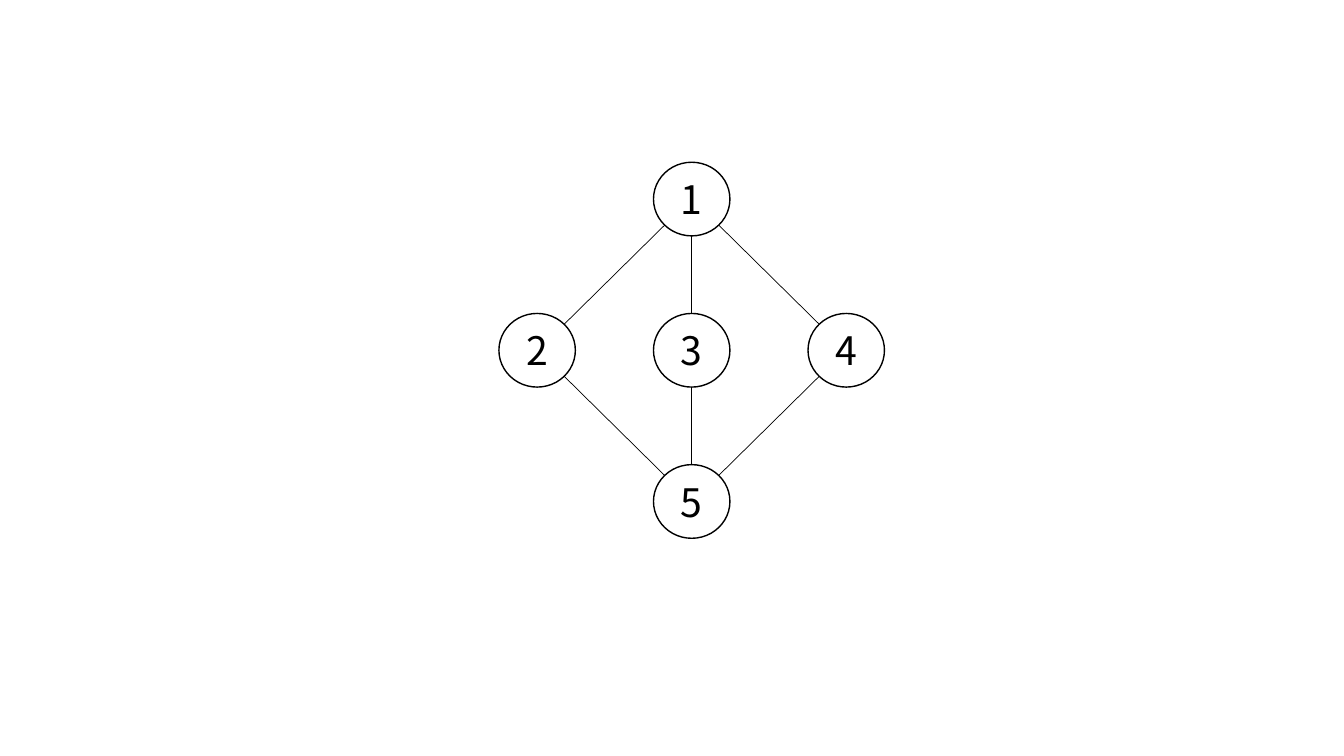
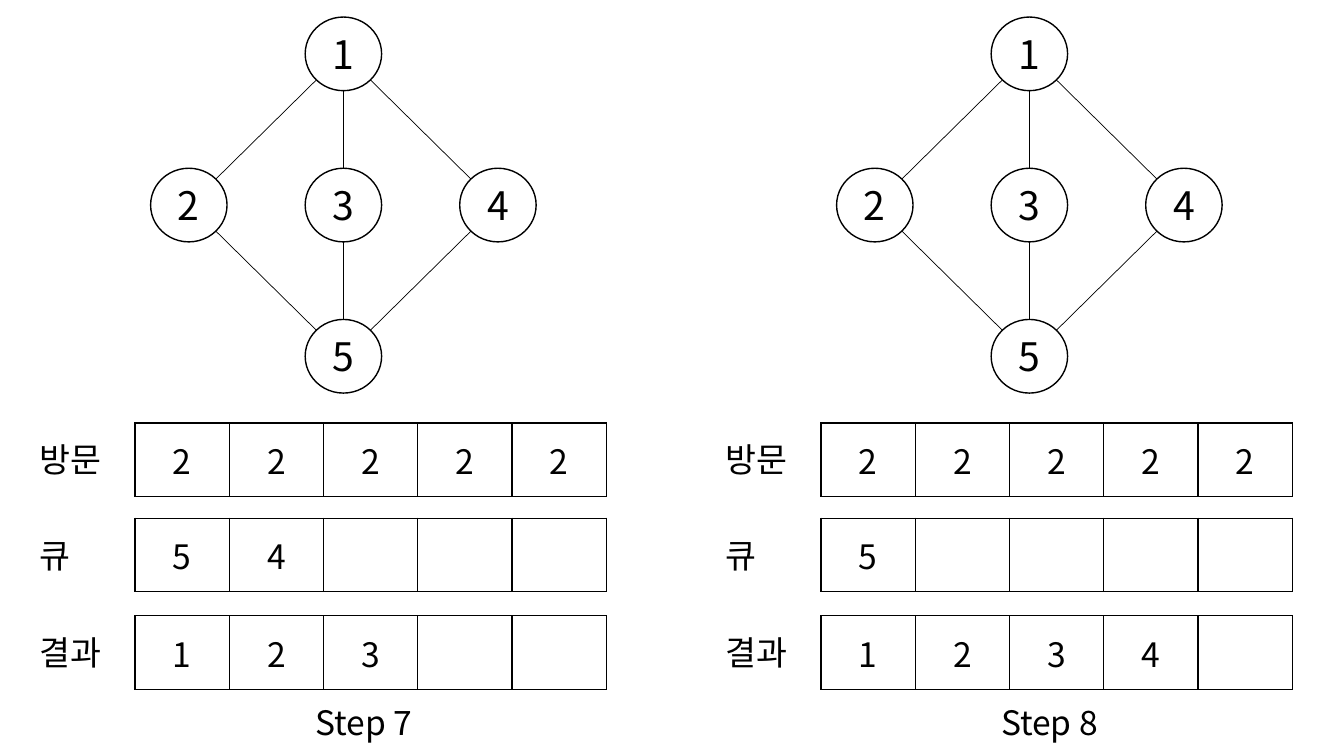
from math import sqrt

from lxml import etree
from pptx import Presentation
from pptx.dml.color import RGBColor
from pptx.enum.shapes import MSO_CONNECTOR, MSO_SHAPE
from pptx.enum.text import MSO_ANCHOR, MSO_AUTO_SIZE, PP_ALIGN
from pptx.oxml.ns import qn
from pptx.util import Pt

BLACK = RGBColor(0, 0, 0)
FONT = "Noto Sans CJK KR"
OVAL = MSO_SHAPE.OVAL
LINE = MSO_CONNECTOR.STRAIGHT
MIDDLE = MSO_ANCHOR.MIDDLE
CENTER, LEFT = PP_ALIGN.CENTER, PP_ALIGN.LEFT
FIT = MSO_AUTO_SIZE.SHAPE_TO_FIT_TEXT

# Graph: node size, grid steps, and each node's column and row
NODE_W, NODE_H = 54.6, 52.6
STEP_X, STEP_Y = 110.4, 108
NODES = {1: (1, 0), 2: (0, 1), 3: (1, 1), 4: (2, 1), 5: (1, 2)}
EDGES = [(1, 2), (1, 3), (1, 4), (2, 5), (3, 5), (4, 5)]

# Panel: label, its width, and the top of its table row
ROWS = [("방문", 63.4, 302.2), ("큐", 38.9, 370.2), ("결과", 63.4, 439.8)]
CELLS, CELL_W, CELL_H = 5, 67.3, 52.6


def style(frame, text, size, align):
    frame.text = text
    para = frame.paragraphs[0]
    para.alignment = align
    for run in para.runs:
        font = run.font
        font.name, font.size = FONT, Pt(size)
        font.color.rgb = BLACK
        etree.SubElement(run._r.get_or_add_rPr(), qn("a:ea"), typeface=FONT)


def add_node(slide, x, y, text):
    node = slide.shapes.add_shape(OVAL, Pt(x), Pt(y), Pt(NODE_W), Pt(NODE_H))
    node.shadow.inherit = False
    node.fill.background()
    node.line.color.rgb = BLACK
    node.line.width = Pt(1)
    node.text_frame.vertical_anchor = MIDDLE
    style(node.text_frame, text, 28, CENTER)


def add_edge(slide, x1, y1, x2, y2):
    edge = slide.shapes.add_connector(LINE, Pt(x1), Pt(y1), Pt(x2), Pt(y2))
    edge.line.color.rgb = BLACK
    edge.line.width = Pt(0.5)
    etree.SubElement(edge._element.spPr, qn("a:effectLst"))


def add_graph(slide, left, top):
    for num, (col, row) in NODES.items():
        add_node(slide, left + col * STEP_X, top + row * STEP_Y, str(num))
    # Edges run downward between the rims of two nodes
    for start, end in EDGES:
        (col1, row1), (col2, row2) = NODES[start], NODES[end]
        side = col2 - col1
        reach = sqrt(0.5) if side else 1
        dx, dy = side * reach * NODE_W / 2, reach * NODE_H / 2
        mid_x, mid_y = left + NODE_W / 2, top + NODE_H / 2
        add_edge(slide,
                 mid_x + col1 * STEP_X + dx, mid_y + row1 * STEP_Y + dy,
                 mid_x + col2 * STEP_X - dx, mid_y + row2 * STEP_Y - dy)


def add_label(slide, left, top, width, text):
    box = slide.shapes.add_textbox(Pt(left), Pt(top), Pt(width), Pt(36))
    box.text_frame.word_wrap = False
    box.text_frame.auto_size = FIT
    style(box.text_frame, text, 24, LEFT)


def add_border(cell):
    props = cell._tc.get_or_add_tcPr()
    for side in ("a:lnL", "a:lnR", "a:lnT", "a:lnB"):
        line = etree.SubElement(props, qn(side), w=str(Pt(1)))
        fill = etree.SubElement(line, qn("a:solidFill"))
        etree.SubElement(fill, qn("a:srgbClr"), val=str(BLACK))


def add_row(slide, left, top, values):
    frame = slide.shapes.add_table(1, CELLS, Pt(left), Pt(top),
                                   Pt(CELLS * CELL_W), Pt(CELL_H))
    table = frame.table
    table.first_row = table.horz_banding = False
    for cell, value in zip(table.iter_cells(), values.ljust(CELLS)):
        add_border(cell)
        cell.fill.background()
        cell.vertical_anchor = MIDDLE
        style(cell.text_frame, value.strip(), 24, CENTER)


def add_panel(slide, left, top, step, data):
    add_graph(slide, left + 86.6, top)
    for (label, width, row_y), values in zip(ROWS, data):
        add_label(slide, left, row_y + 8, width, label)
        add_row(slide, left + 75.5, row_y, values)
    add_label(slide, left + 197, 497.5, 84.2, f"Step {step}")


deck = Presentation()
deck.slide_width, deck.slide_height = Pt(960), Pt(540)
blank = deck.slide_layouts[6]

# Slide 1: the graph alone
add_graph(deck.slides.add_slide(blank), 356.4, 115.9)

# Slide 2: two steps of the search, with values per table row
STEPS = {7: ("22222", "54", "123"), 8: ("22222", "5", "1234")}
search = deck.slides.add_slide(blank)
for index, (step, data) in enumerate(STEPS.items()):
    add_panel(search, 21 + index * 490, 12.2, step, data)

deck.save("out.pptx")
